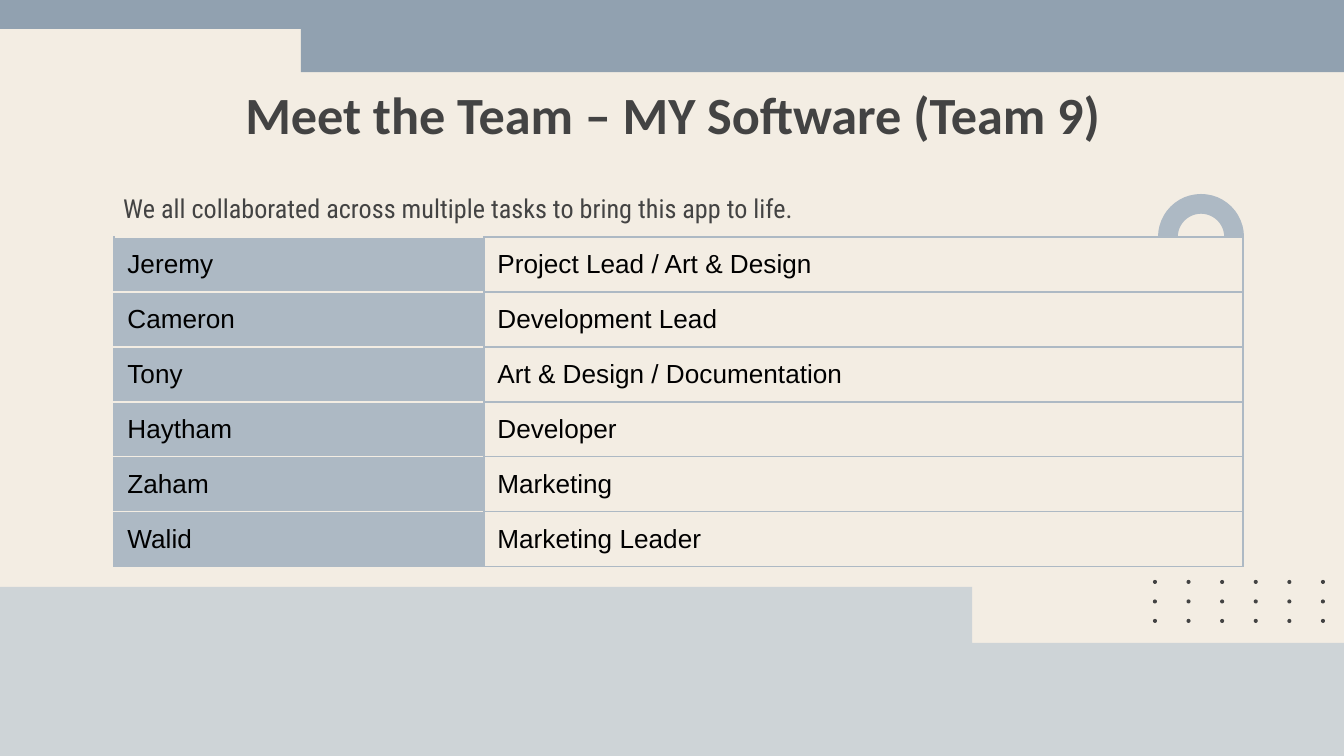
import pptx
import pptx.util
import pptx.dml.color
import pptx.enum.shapes
import pptx.enum.text
import pptx.oxml
import pptx.oxml.ns

PX = 9144000 / 1344  # EMU per px
COLORS = {
    "cream": "F3EDE3",
    "slate": "91A1B0",
    "mist": "CED4D7",
    "steel": "ADB9C4",
    "ink": "434343",
    "black": "000000",
}
ALIGN = pptx.enum.text.PP_ALIGN
ANCHOR = pptx.enum.text.MSO_ANCHOR
SHAPE = pptx.enum.shapes.MSO_SHAPE


def px(*lengths):
    return [pptx.util.Emu(round(length * PX)) for length in lengths]


def write(frame, text, size, font, color, bold=False, align=ALIGN.LEFT, anchor=ANCHOR.TOP):
    frame.word_wrap = True
    frame.vertical_anchor = anchor
    paragraph = frame.paragraphs[0]
    paragraph.alignment = align
    run = paragraph.add_run()
    run.text = text
    run.font.size = pptx.util.Pt(size)
    run.font.name = font
    run.font.bold = bold
    run.font.color.rgb = pptx.dml.color.RGBColor.from_string(COLORS[color])


deck = pptx.Presentation()
deck.slide_width, deck.slide_height = px(1344, 756)
slide = deck.slides.add_slide(deck.slide_layouts[5])
slide.background.fill.solid()
slide.background.fill.fore_color.rgb = pptx.dml.color.RGBColor.from_string(COLORS["cream"])

# Title and intro line
title = slide.shapes.title
title.left, title.top, title.width, title.height = px(108, 69, 1129, 90)
intro = slide.shapes.add_textbox(*px(110, 179, 1129, 42))
for box in (title, intro):
    frame = box.text_frame
    frame.auto_size = pptx.enum.text.MSO_AUTO_SIZE.NONE
    frame.margin_left, frame.margin_top, frame.margin_right, frame.margin_bottom = [pptx.util.Inches(0.1)] * 4
write(title.text_frame, "Meet the Team – MY Software (Team 9)",
      size=28, font="Calibri", color="ink", bold=True, align=ALIGN.CENTER)
write(intro.text_frame, "We all collaborated across multiple tasks to bring this app to life.",
      size=14, font="Roboto Condensed", color="ink")

# Stepped bands, placed behind the title
decorations = []
bands = [
    ("slate", [(-20, -130), (-20, 29), (301, 29), (301, 72), (1344, 72), (1344, -130)]),
    ("mist", [(-292, 587), (-292, 758), (1362, 758), (1362, 643), (972, 643), (972, 587)]),
]
for color, corners in bands:
    outline = slide.shapes.build_freeform(*corners[0], scale=PX)
    outline.add_line_segments(corners[1:], close=True)
    band = outline.convert_to_shape()
    title.element.addprevious(band.element)
    decorations.append((band, color))

# Half ring above the table
arch = slide.shapes.add_shape(SHAPE.BLOCK_ARC, *px(1158, 194, 86, 86))
arch.adjustments[2] = 0.23
decorations.append((arch, "steel"))

# Dot grid
dot_grid = slide.shapes.add_group_shape()
for row in range(3):
    for column in range(6):
        dot = dot_grid.shapes.add_shape(
            SHAPE.OVAL, *px(1153 + column * 168 / 5, 580 + row * 39 / 2, 4, 4))
        decorations.append((dot, "ink"))

for decoration, color in decorations:
    decoration.shadow.inherit = False
    decoration.fill.solid()
    decoration.fill.fore_color.rgb = pptx.dml.color.RGBColor.from_string(COLORS[color])
    decoration.line.fill.background()

# Team table
team = [
    ("Jeremy", "Project Lead / Art & Design"),
    ("Cameron", "Development Lead"),
    ("Tony", "Art & Design / Documentation"),
    ("Haytham", "Developer"),
    ("Zaham", "Marketing"),
    ("Walid", "Marketing Leader"),
]
roster = slide.shapes.add_table(len(team), 2, *px(114, 237, 1129, 55 * len(team))).table
roster.first_row = roster.horz_banding = False
roster.columns[0].width, roster.columns[1].width = px(370, 759)
for row, member in enumerate(team):
    roster.rows[row].height = px(55)[0]
    for column, text in enumerate(member):
        cell = roster.cell(row, column)
        write(cell.text_frame, text, size=14, font="Arial", color="black")
        cell.vertical_anchor = ANCHOR.MIDDLE

        # Name cells are parted by cream lines
        is_name = column == 0
        borders = {"lnL": "steel", "lnR": "steel",
                   "lnT": "cream" if is_name else "steel",
                   "lnB": "cream" if is_name and row < len(team) - 1 else "steel"}
        properties = cell._tc.get_or_add_tcPr()
        for side, color in borders.items():
            properties.append(pptx.oxml.parse_xml(
                f'<a:{side} {pptx.oxml.ns.nsdecls("a")} w="9525"><a:solidFill>'
                f'<a:srgbClr val="{COLORS[color]}"/></a:solidFill></a:{side}>'))
        if is_name:
            cell.fill.solid()
            cell.fill.fore_color.rgb = pptx.dml.color.RGBColor.from_string(COLORS["steel"])
        else:
            cell.fill.background()

deck.save("out.pptx")
